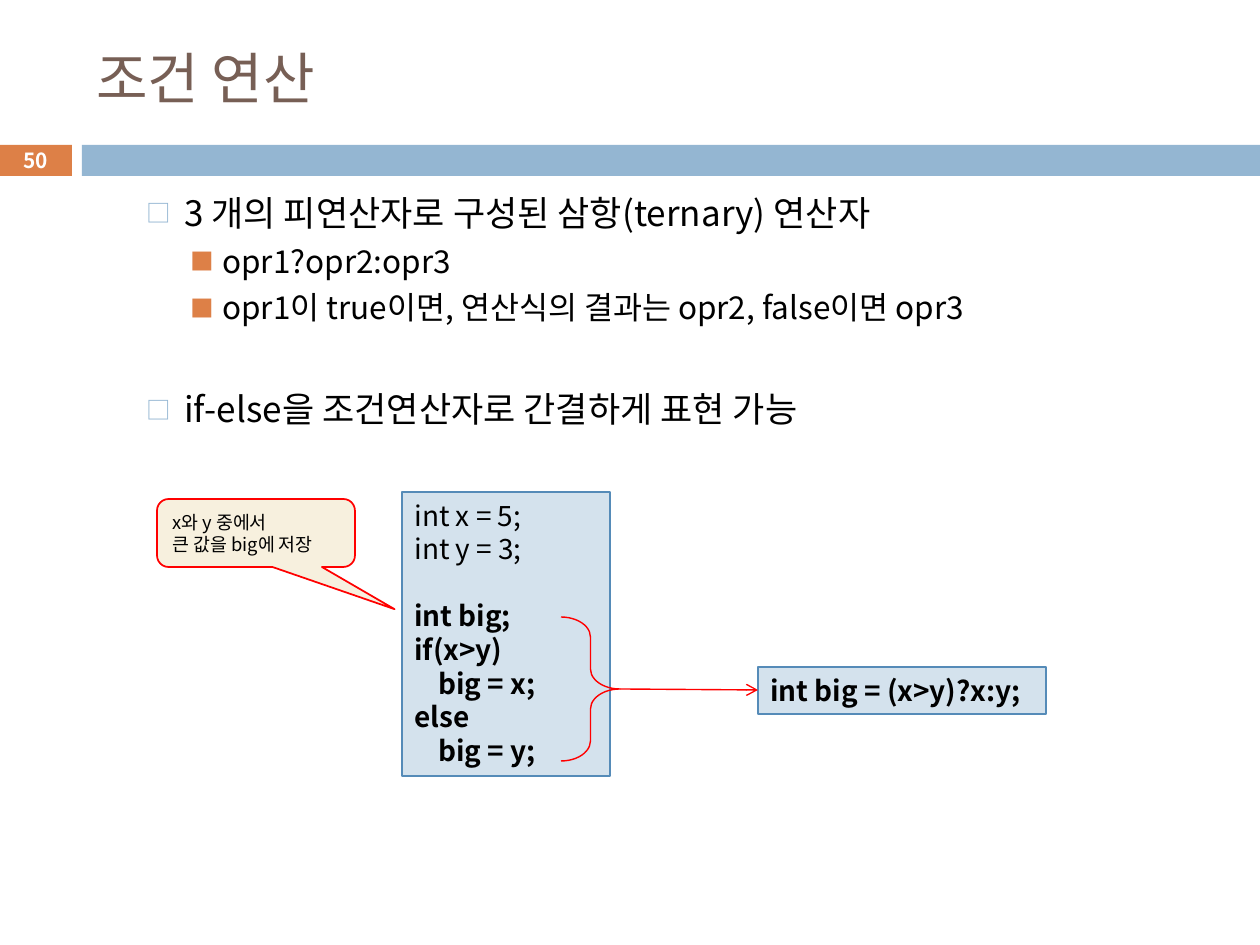
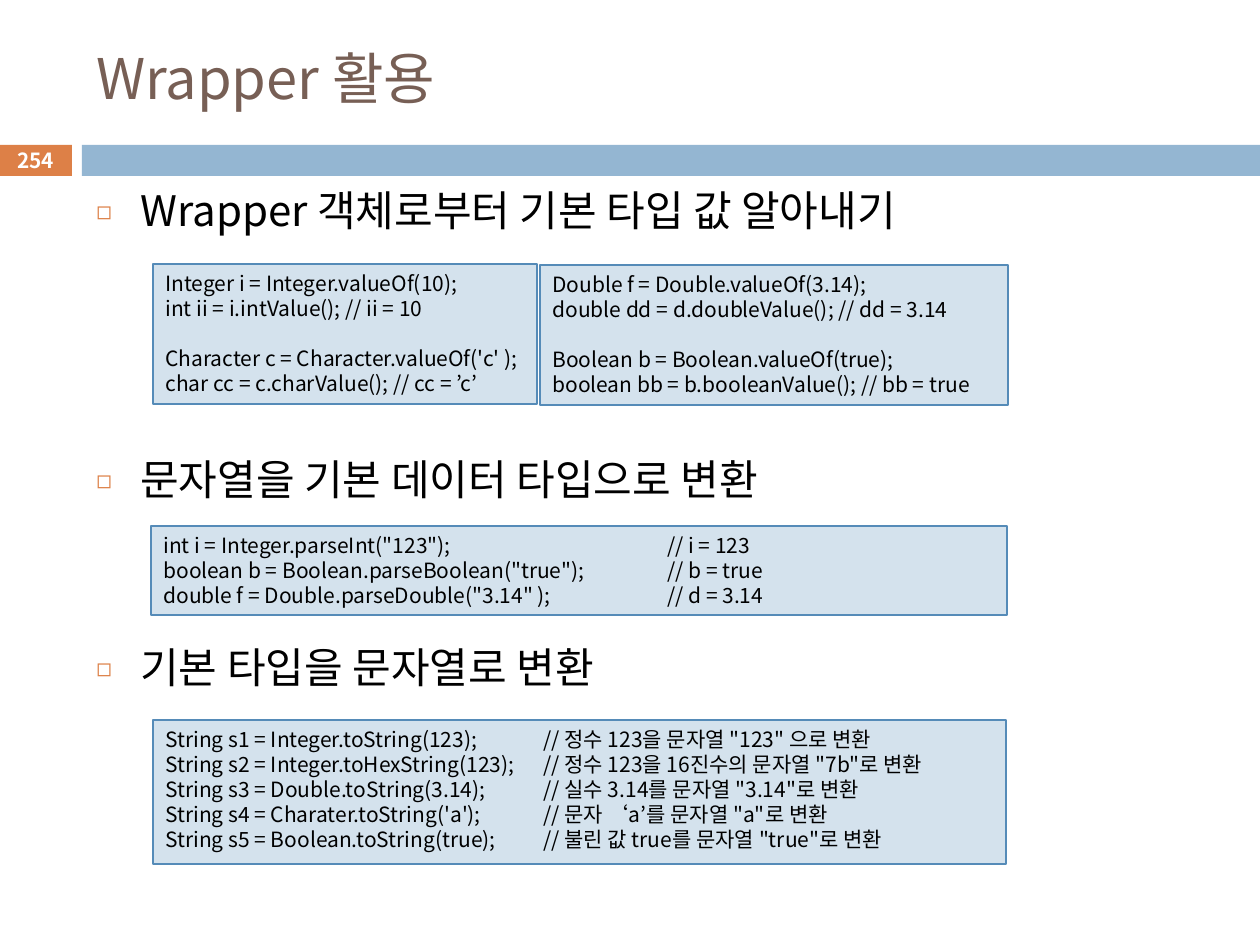
from collections import namedtuple
from dataclasses import dataclass

from lxml.etree import SubElement
from pptx import Presentation
from pptx.dml.color import RGBColor
from pptx.enum.shapes import MSO_CONNECTOR as Link, MSO_SHAPE as Preset
from pptx.enum.text import MSO_ANCHOR as Anchor, PP_ALIGN as Align
from pptx.oxml.ns import qn
from pptx.util import Emu, Pt

PX = 914400 / 126
Box = namedtuple("Box", "left top width height")
Level = namedtuple("Level", "mark color scale size margin hang before")


@dataclass(frozen=True)
class Theme:
    """Colours, font and type sizes shared by the slides."""
    font: str = "Noto Sans CJK KR"
    leading: float = 1.2
    title: str = "775F55"
    text: str = "000000"
    white: str = "FFFFFF"
    orange: str = "DD8047"
    blue: str = "94B6D2"
    code_fill: str = "D4E2ED"
    code_line: str = "558BB8"
    note_fill: str = "F7F0DE"
    red: str = "FF0000"
    title_size: float = 32
    number_size: float = 11.9
    note_size: float = 10.5


THEME = Theme()
TOPIC = Level("◻", THEME.orange, 60, 24, 44, 44, 7)
POINT = Level("□", THEME.blue, 70, 20, 88, 38, 5.5)
DETAIL = Level("■", THEME.orange, 75, 18, 126, 32, 5)

MAX_CODE = """int x = 5;
int y = 3;

int big;
if(x>y)
\tbig = x;
else
\tbig = y;"""

INTEGER_CODE = """Integer i = Integer.valueOf(10);
int ii = i.intValue(); // ii = 10

Character c = Character.valueOf('c' );
char cc = c.charValue(); // cc = ’c’"""

DOUBLE_CODE = """Double f = Double.valueOf(3.14);
double dd = d.doubleValue(); // dd = 3.14

Boolean b = Boolean.valueOf(true);
boolean bb = b.booleanValue(); // bb = true"""

PARSE_CODE = """int i = Integer.parseInt("123");\t// i = 123
boolean b = Boolean.parseBoolean("true");\t// b = true
double f = Double.parseDouble("3.14" );\t// d = 3.14"""

STRING_CODE = """String s1 = Integer.toString(123);\t// 정수 123을 문자열 "123" 으로 변환
String s2 = Integer.toHexString(123);\t// 정수 123을 16진수의 문자열 "7b"로 변환
String s3 = Double.toString(3.14);\t// 실수 3.14를 문자열 "3.14"로 변환
String s4 = Charater.toString('a');\t// 문자 ‘a’를 문자열 "a"로 변환
String s5 = Boolean.toString(true);\t// 불린 값 true를 문자열 "true"로 변환"""


def px(length):
    """Turn px into EMU."""
    return Emu(round(length * PX))


def inside(box, left, top, width, height):
    """Give a box whose offsets count from another box."""
    return Box(box.left + left, box.top + top, width, height)


def style(paragraph, size, color=THEME.text, bold=False):
    """Set the font of a whole paragraph."""
    font = paragraph.font
    font.size, font.bold, font.name = Pt(size), bold, THEME.font
    font.color.rgb = RGBColor.from_string(color)
    props = paragraph._p.get_or_add_pPr().find(qn("a:defRPr"))
    SubElement(props, qn("a:ea"), typeface=THEME.font)


def add_lines(frame, lines):
    """Yield one left-aligned paragraph for each line."""
    frame.word_wrap = True
    for index, line in enumerate(lines):
        paragraph = frame.add_paragraph() if index else frame.paragraphs[0]
        paragraph.text = line
        paragraph.alignment = Align.LEFT
        yield paragraph


def add_preset(slide, preset, box, fill=None, line=None, weight=0.75):
    """Add a flat preset shape."""
    shape = slide.shapes.add_shape(preset, *map(px, box))
    shape.shadow.inherit = False
    if fill:
        shape.fill.solid()
        shape.fill.fore_color.rgb = RGBColor.from_string(fill)
    else:
        shape.fill.background()
    if line:
        shape.line.color.rgb = RGBColor.from_string(line)
        shape.line.width = Pt(weight)
    else:
        shape.line.fill.background()
    return shape


def add_header(slide, box, title, number):
    """Add the title, the band and the numbered tab."""
    heading = slide.shapes.add_textbox(*map(px, inside(box, 84, 31, 1124, 93))).text_frame
    heading.vertical_anchor = Anchor.MIDDLE
    for paragraph in add_lines(heading, [title]):
        style(paragraph, THEME.title_size, THEME.title)
    add_preset(slide, Preset.RECTANGLE, inside(box, 82, 145, 1178, 31), THEME.blue)
    tab = add_preset(slide, Preset.RECTANGLE, inside(box, -1, 145, 73, 31), THEME.orange)
    tab.text_frame.vertical_anchor = Anchor.MIDDLE
    for paragraph in add_lines(tab.text_frame, [number]):
        paragraph.alignment = Align.CENTER
        style(paragraph, THEME.number_size, THEME.white, True)


def add_bullets(slide, box, items):
    """Add bulleted lines, each given as level, text and extra gap in points."""
    frame = slide.shapes.add_textbox(*map(px, box)).text_frame
    paragraphs = add_lines(frame, [text for _, text, _ in items])
    for index, (paragraph, (level, _, gap)) in enumerate(zip(paragraphs, items)):
        props = paragraph._p.get_or_add_pPr()
        props.set("marL", str(px(level.margin)))
        props.set("indent", str(px(-level.hang)))
        if index:
            paragraph.space_before = Pt(level.before + gap)
        SubElement(SubElement(props, qn("a:buClr")), qn("a:srgbClr"), val=level.color)
        SubElement(props, qn("a:buSzPct"), val=str(level.scale * 1000))
        SubElement(props, qn("a:buFont"), typeface=THEME.font)
        SubElement(props, qn("a:buChar"), char=level.mark)
        style(paragraph, level.size)


def add_code(slide, box, code, size, tab=0, bold_from=None):
    """Add a code panel; an empty line of code becomes space before the next one."""
    panel = add_preset(slide, Preset.RECTANGLE, box, THEME.code_fill, THEME.code_line)
    panel.text_frame.vertical_anchor = Anchor.TOP
    blocks = [block.split("\n") for block in code.split("\n\n")]
    starts = {sum(map(len, blocks[:count])) for count in range(1, len(blocks))}
    for index, paragraph in enumerate(add_lines(panel.text_frame, sum(blocks, []))):
        if index in starts:
            paragraph.space_before = Pt(size * THEME.leading)
        if tab:
            stops = SubElement(paragraph._p.get_or_add_pPr(), qn("a:tabLst"))
            SubElement(stops, qn("a:tab"), pos=str(px(tab)), algn="l")
        style(paragraph, size, bold=bold_from is not None and index >= bold_from)


def add_arrow(slide, box):
    """Add a red arrow across a box, from top left to bottom right."""
    ends = box.left, box.top, box.left + box.width, box.top + box.height
    arrow = slide.shapes.add_connector(Link.STRAIGHT, *map(px, ends))
    arrow.line.color.rgb = RGBColor.from_string(THEME.red)
    arrow.line.width = Pt(0.79)
    SubElement(arrow.line._get_or_add_ln(), qn("a:tailEnd"), type="arrow")
    SubElement(arrow._element.spPr, qn("a:effectLst"))


def add_note(slide, box, lines):
    """Add a callout that points to the lower right."""
    note = add_preset(slide, Preset.ROUNDED_RECTANGULAR_CALLOUT, box,
                      THEME.note_fill, THEME.red, 1)
    for index, value in enumerate((0.7, 1.12, 0.17)):
        note.adjustments[index] = value
    note.text_frame.vertical_anchor = Anchor.MIDDLE
    for paragraph in add_lines(note.text_frame, lines):
        style(paragraph, THEME.note_size)


def add_rewrite(slide, box):
    """Show the if-else code and the shorter expression it turns into."""
    add_code(slide, inside(box, 245, 0, 208, 284), MAX_CODE, 16, 24, 2)
    add_code(slide, inside(box, 601, 175, 288, 47), "int big = (x>y)?x:y;", 16, bold_from=0)
    brace = add_preset(slide, Preset.RIGHT_BRACE, inside(box, 404, 125, 59, 144),
                       line=THEME.red, weight=0.79)
    brace.adjustments[0] = 0.34
    add_arrow(slide, inside(box, 463, 197, 138, 1))
    add_note(slide, inside(box, 0, 7, 198, 68), ["x와 y 중에서", "큰 값을 big에 저장"])


def build_conditional(slide, box):
    """Build the slide on the conditional operator."""
    add_header(slide, box, "조건 연산", "50")
    add_bullets(slide, inside(box, 84, 185, 1124, 694), [
        (POINT, "3 개의 피연산자로 구성된 삼항(ternary) 연산자", 0),
        (DETAIL, "opr1?opr2:opr3", 0),
        (DETAIL, "opr1이 true이면, 연산식의 결과는 opr2, false이면 opr3", 0),
        (POINT, "if-else을 조건연산자로 간결하게 표현 가능", 29.5),
    ])
    add_rewrite(slide, inside(box, 157, 492, 889, 284))


def build_wrapper(slide, box):
    """Build the slide on wrapper classes."""
    add_header(slide, box, "Wrapper 활용", "254")
    add_bullets(slide, inside(box, 84, 178, 1124, 767), [
        (TOPIC, "Wrapper 객체로부터 기본 타입 값 알아내기", 0),
        (TOPIC, "문자열을 기본 데이터 타입으로 변환", 118),
        (TOPIC, "기본 타입을 문자열로 변환", 71.6),
    ])
    add_code(slide, inside(box, 153, 264, 384, 140), INTEGER_CODE, 12)
    add_code(slide, inside(box, 540, 265, 468, 140), DOUBLE_CODE, 12)
    add_code(slide, inside(box, 151, 526, 856, 89), PARSE_CODE, 12, 504)
    add_code(slide, inside(box, 153, 720, 853, 144), STRING_CODE, 12, 378)


def main():
    """Build and save the slides."""
    deck = Presentation()
    page = Box(0, 0, 1260, 945)
    deck.slide_width, deck.slide_height = px(page.width), px(page.height)
    for build in (build_conditional, build_wrapper):
        build(deck.slides.add_slide(deck.slide_layouts[6]), page)
    deck.save("out.pptx")


if __name__ == "__main__":
    main()
